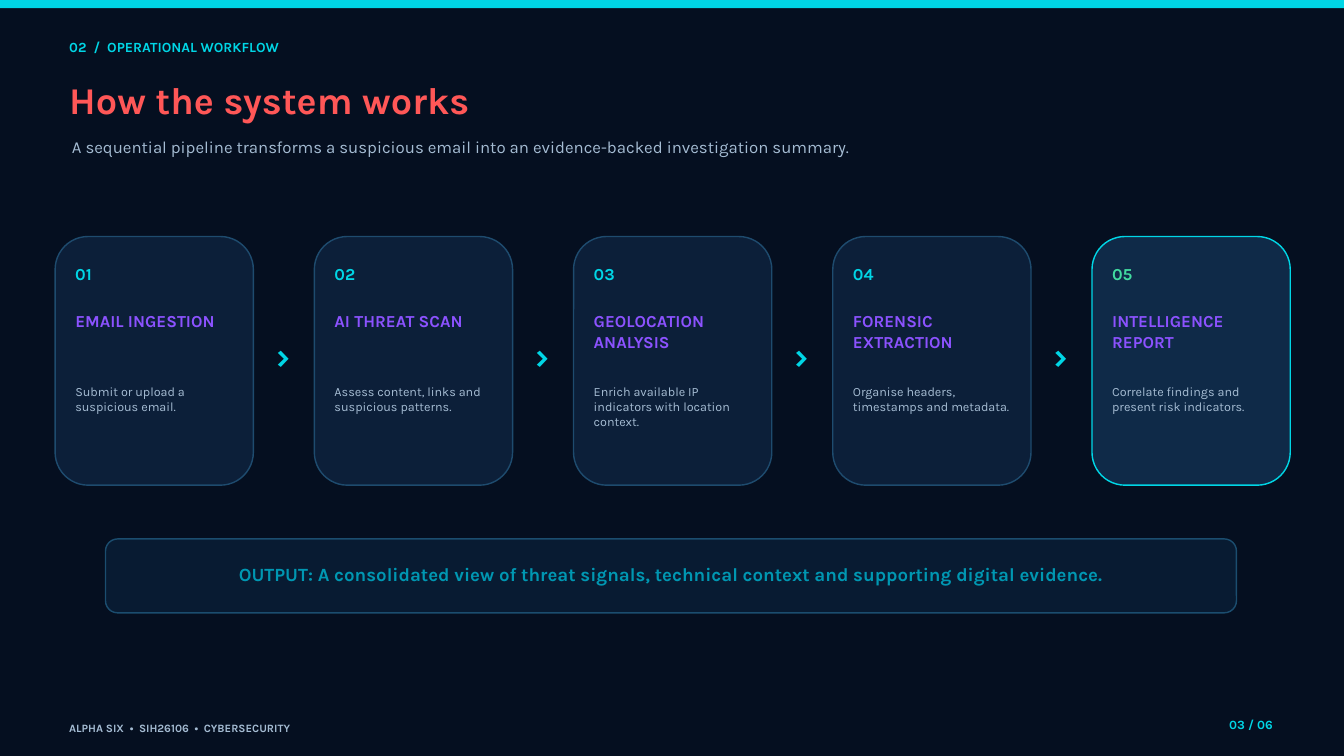
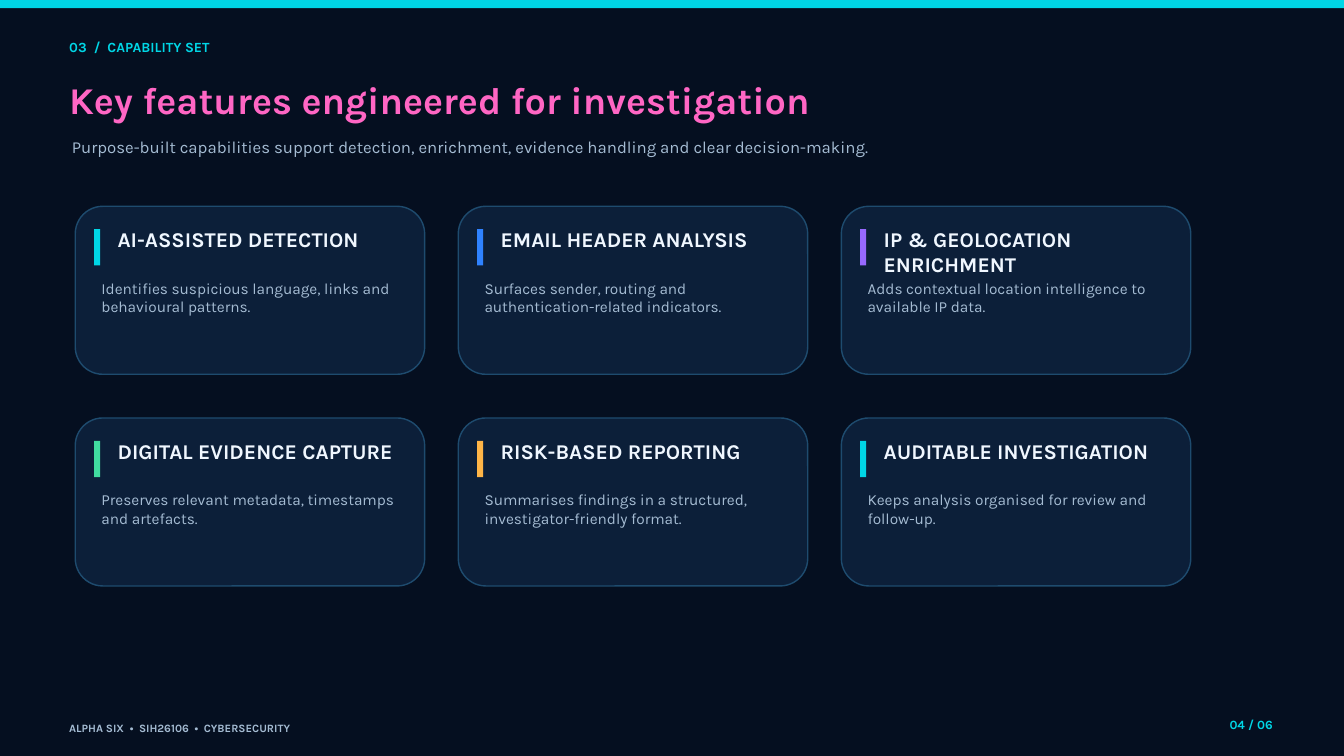
from pptx import Presentation
from pptx.dml.color import RGBColor
from pptx.enum.shapes import MSO_SHAPE
from pptx.enum.text import MSO_ANCHOR, MSO_AUTO_SIZE, PP_ALIGN
from pptx.util import Inches, Pt

FONT = "Karla"
W, H = 20, 11.25
NAVY, CARD, CARD_LIT, PANEL = "050F20", "0C1F39", "0F2A48", "081B32"
EDGE, PANEL_EDGE = "1E4B6E", "1B4D6F"
CYAN, GREEN, BLUE, VIOLET, AMBER = "00D6E6", "41DCA0", "2F82FF", "9769FF", "FFB547"
MUTED, WHITE, TEAL = "A5BCD3", "F0F7FF", "0097B2"
STEP_GRADIENT = ("8C52FF", "00BF63")

FOOTER = "ALPHA SIX  •  SIH26106  •  CYBERSECURITY"
TOTAL = 6

WORKFLOW = {
    "page": 3,
    "section": "02  /  OPERATIONAL WORKFLOW",
    "title": "How the system works",
    "title_width": 6.68,
    "gradient": ("FF5757", "8C52FF"),
    "lead": "A sequential pipeline transforms a suspicious email into an "
            "evidence-backed investigation summary.",
}
STEPS = [
    ("EMAIL INGESTION", "Submit or upload a suspicious email."),
    ("AI THREAT SCAN", "Assess content, links and suspicious patterns."),
    ("GEOLOCATION ANALYSIS", "Enrich available IP indicators with location context."),
    ("FORENSIC EXTRACTION", "Organise headers, timestamps and metadata."),
    ("INTELLIGENCE REPORT", "Correlate findings and present risk indicators."),
]
OUTPUT = ("OUTPUT: A consolidated view of threat signals, technical context "
          "and supporting digital evidence.")

CAPABILITIES = {
    "page": 4,
    "section": "03  /  CAPABILITY SET",
    "title": "Key features engineered for investigation",
    "title_width": 17.91,
    "gradient": ("FF66C4", "FFDE59"),
    "lead": "Purpose-built capabilities support detection, enrichment, "
            "evidence handling and clear decision-making.",
}
FEATURES = [
    ("AI-ASSISTED DETECTION", CYAN,
     "Identifies suspicious language, links and behavioural patterns."),
    ("EMAIL HEADER ANALYSIS", BLUE,
     "Surfaces sender, routing and authentication-related indicators."),
    ("IP & GEOLOCATION ENRICHMENT", VIOLET,
     "Adds contextual location intelligence to available IP data."),
    ("DIGITAL EVIDENCE CAPTURE", GREEN,
     "Preserves relevant metadata, timestamps and artefacts."),
    ("RISK-BASED REPORTING", AMBER,
     "Summarises findings in a structured, investigator-friendly format."),
    ("AUDITABLE INVESTIGATION", CYAN,
     "Keeps analysis organised for review and follow-up."),
]


def rgb(value):
    return RGBColor.from_string(value)


def set_all(target, values):
    for name, value in values.items():
        setattr(target, name, value)


def place(sp, x, y, w, h):
    set_all(sp, {"left": Inches(x), "top": Inches(y),
                 "width": Inches(w), "height": Inches(h)})


def write(sp, text, size, color, bold=False, align=PP_ALIGN.LEFT):
    tf = sp.text_frame
    set_all(tf, {"word_wrap": True, "auto_size": MSO_AUTO_SIZE.NONE,
                 "vertical_anchor": MSO_ANCHOR.TOP, "margin_left": 0,
                 "margin_right": 0, "margin_top": 0, "margin_bottom": 0})
    p = tf.paragraphs[0]
    set_all(p, {"alignment": align, "line_spacing": Pt(size * 1.2),
                "space_before": Pt(0)})
    r = p.add_run()
    r.text = text
    set_all(r.font, {"name": FONT, "size": Pt(size), "bold": bold})
    if isinstance(color, str):
        r.font.color.rgb = rgb(color)
        return
    r.font.fill.gradient()
    r.font.fill.gradient_angle = 0
    for stop, value in zip(r.font.fill.gradient_stops, color):
        stop.color.rgb = rgb(value)


def add_text(s, box, text, size, color, **style):
    sp = s.shapes.add_textbox(*map(Inches, box))
    write(sp, text, size, color, **style)


def add_block(s, box, fill, edge=None, radius=0):
    kind = MSO_SHAPE.ROUNDED_RECTANGLE if radius else MSO_SHAPE.RECTANGLE
    sp = s.shapes.add_shape(kind, *map(Inches, box))
    sp.shadow.inherit = False
    sp.fill.solid()
    sp.fill.fore_color.rgb = rgb(fill)
    if radius:
        sp.adjustments[0] = radius / min(box[2:])
    if edge:
        sp.line.color.rgb = rgb(edge)
        sp.line.width = Pt(1.5)
    else:
        sp.line.fill.background()


def add_frame(prs, head):
    s = prs.slides.add_slide(prs.slide_layouts[5])
    add_block(s, (0, 0, W, 0.12), CYAN)
    add_text(s, (1.03, 0.58, 17.76, 0.32), head["section"], 15, CYAN, bold=True)
    place(s.shapes.title, 1.03, 1.14, head["title_width"], 0.7)
    write(s.shapes.title, head["title"], 40.5, head["gradient"], bold=True)
    add_text(s, (1.07, 2.03, 17.61, 0.53), head["lead"], 18, MUTED)
    add_text(s, (1.03, 10.74, 11.91, 0.2), FOOTER, 12, MUTED, bold=True)
    add_text(s, (18.21, 10.67, 0.73, 0.29), f"{head['page']:02} / {TOTAL:02}",
             13.5, CYAN, bold=True, align=PP_ALIGN.RIGHT)
    return s


def build_workflow(prs):
    s = add_frame(prs, WORKFLOW)
    left, top, w, h = 0.82, 3.52, 2.95, 3.7
    pitch = (19.2 - left - w) / (len(STEPS) - 1)
    for i, (name, detail) in enumerate(STEPS):
        x = left + i * pitch
        last = i == len(STEPS) - 1
        fill, edge, number = (CARD_LIT, CYAN, GREEN) if last else (CARD, EDGE, CYAN)
        add_block(s, (x, top, w, h), fill, edge, radius=0.49)
        inner = x + 0.3
        add_text(s, (inner, top + 0.4, 0.73, 0.35), f"{i + 1:02}", 18, number, bold=True)
        add_text(s, (inner, top + 1.11, 2.35, 0.8), name, 18, STEP_GRADIENT, bold=True)
        add_text(s, (inner, top + 2.19, 2.35, 1.08), detail, 13.5, MUTED)
        if not last:
            add_text(s, (x + w + 0.08, top + 1.42, 0.73, 0.57), "›", 40.5, CYAN,
                     bold=True, align=PP_ALIGN.CENTER)
    add_block(s, (1.57, 8.02, 16.83, 1.1), PANEL, PANEL_EDGE, radius=0.18)
    add_text(s, (1.93, 8.37, 16.11, 0.34), OUTPUT, 20, TEAL,
             bold=True, align=PP_ALIGN.CENTER)


def build_capabilities(prs):
    s = add_frame(prs, CAPABILITIES)
    cols, left, top, w, h, gap_x, gap_y = 3, 1.12, 3.07, 5.2, 2.5, 0.5, 0.65
    for i, (name, accent, detail) in enumerate(FEATURES):
        row, col = divmod(i, cols)
        x, y = left + col * (w + gap_x), top + row * (h + gap_y)
        add_block(s, (x, y, w, h), CARD, EDGE, radius=0.41)
        add_block(s, (x + 0.28, y + 0.34, 0.09, 0.54), accent)
        add_text(s, (x + 0.63, y + 0.3, 4.24, 0.47), name, 22.5, WHITE, bold=True)
        add_text(s, (x + 0.39, y + 1.08, 4.42, 1.15), detail, 16.5, MUTED)


def main():
    prs = Presentation()
    set_all(prs, {"slide_width": Inches(W), "slide_height": Inches(H)})
    bg = prs.slide_master.background.fill
    bg.solid()
    bg.fore_color.rgb = rgb(NAVY)
    build_workflow(prs)
    build_capabilities(prs)
    prs.save("out.pptx")


if __name__ == "__main__":
    main()
